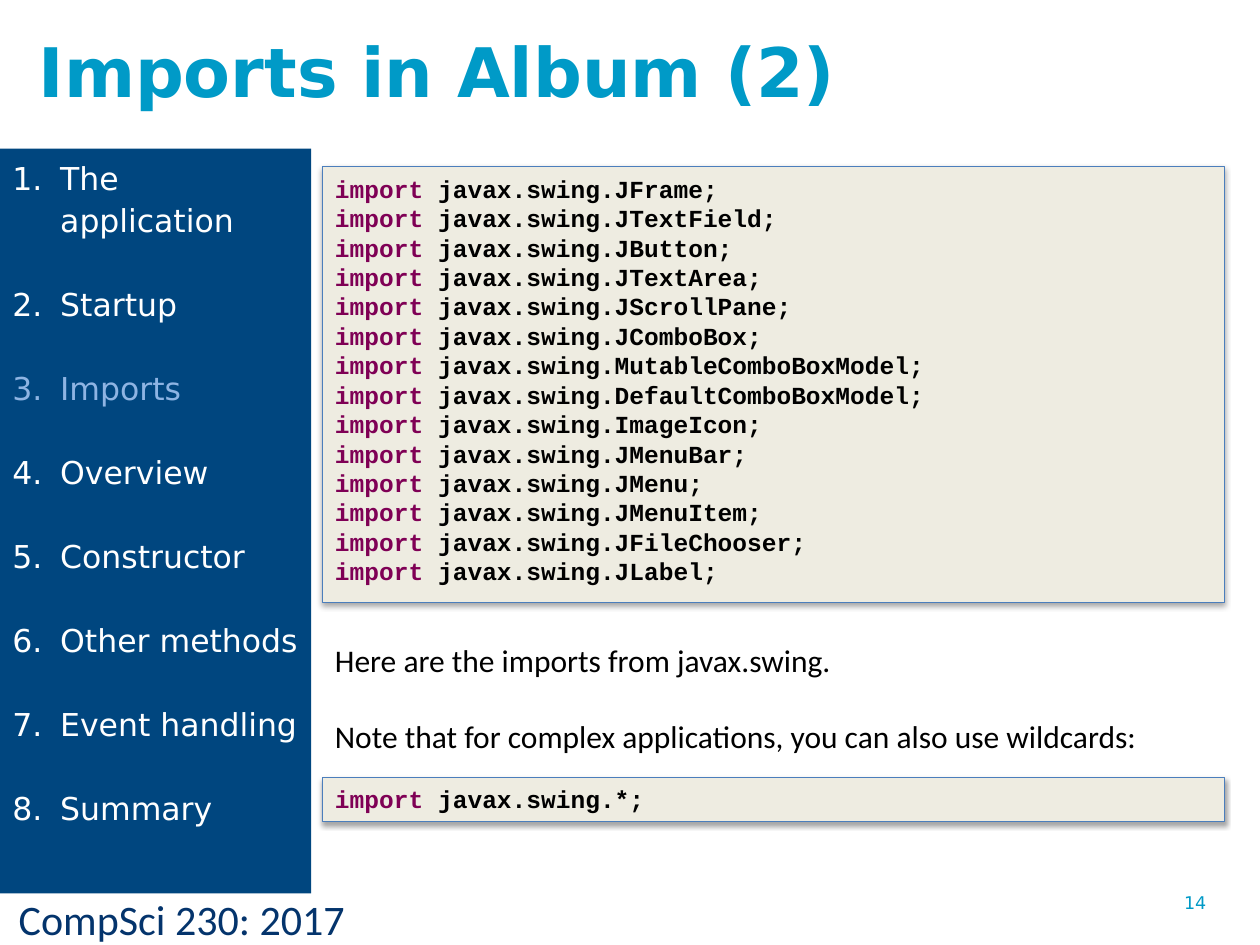
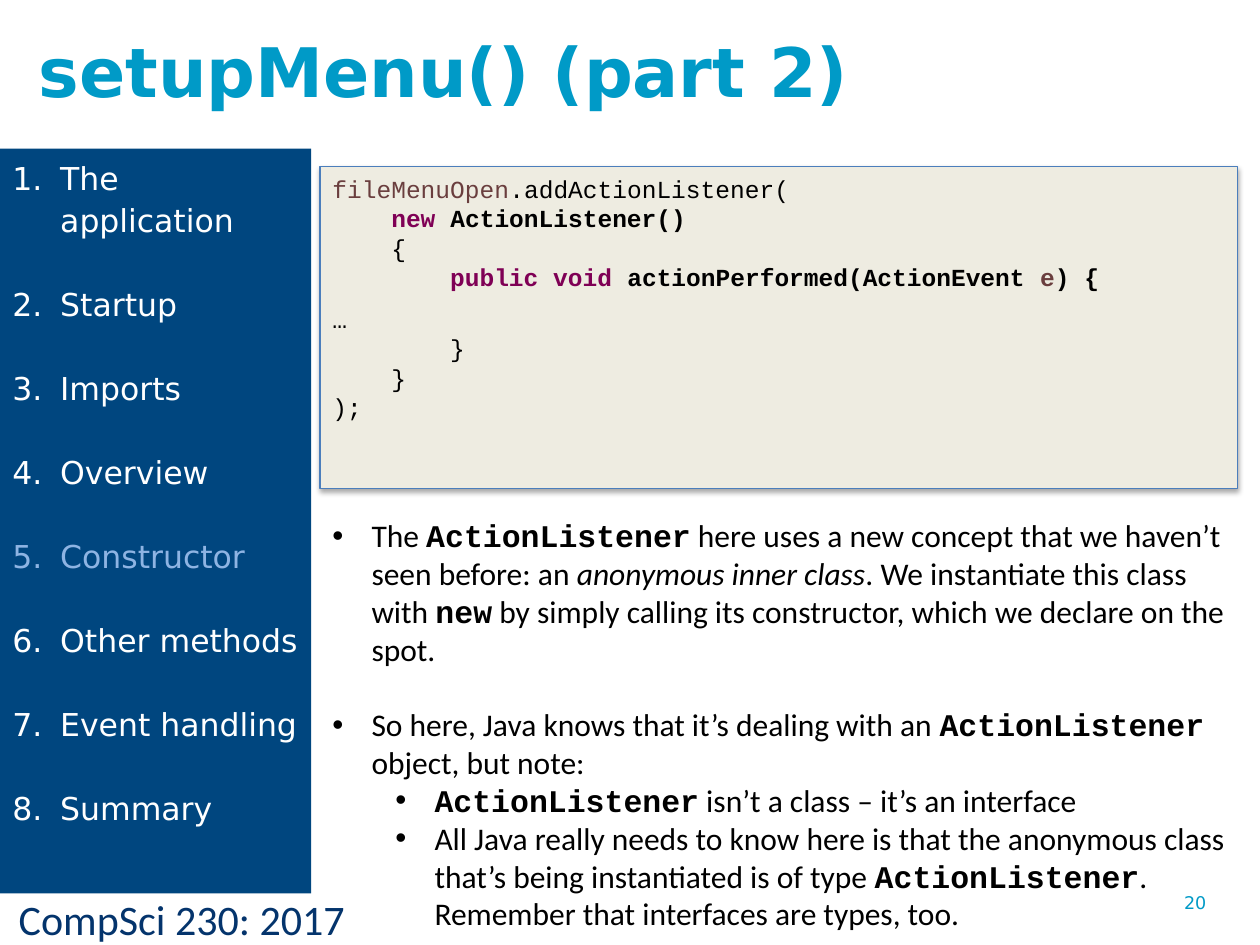
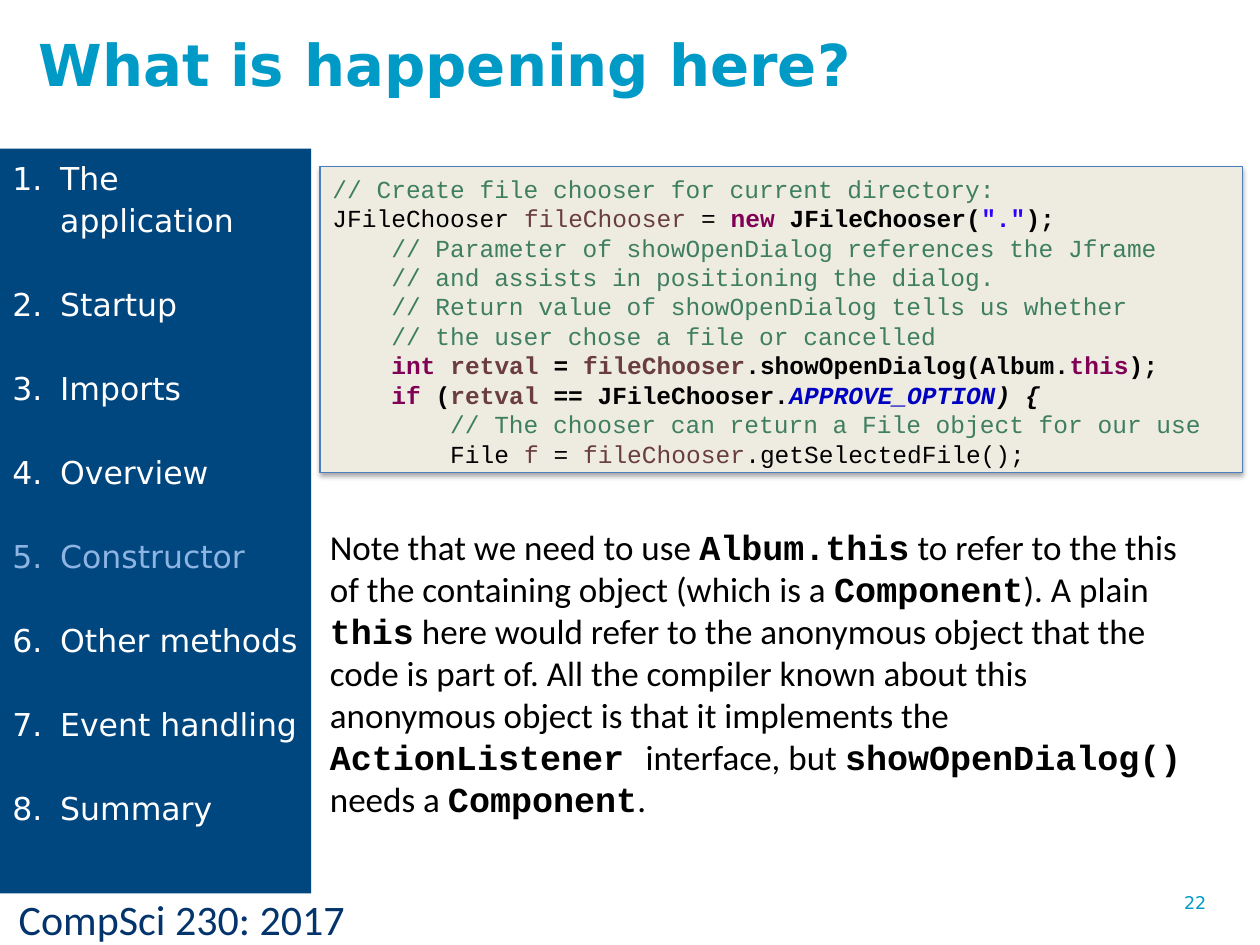
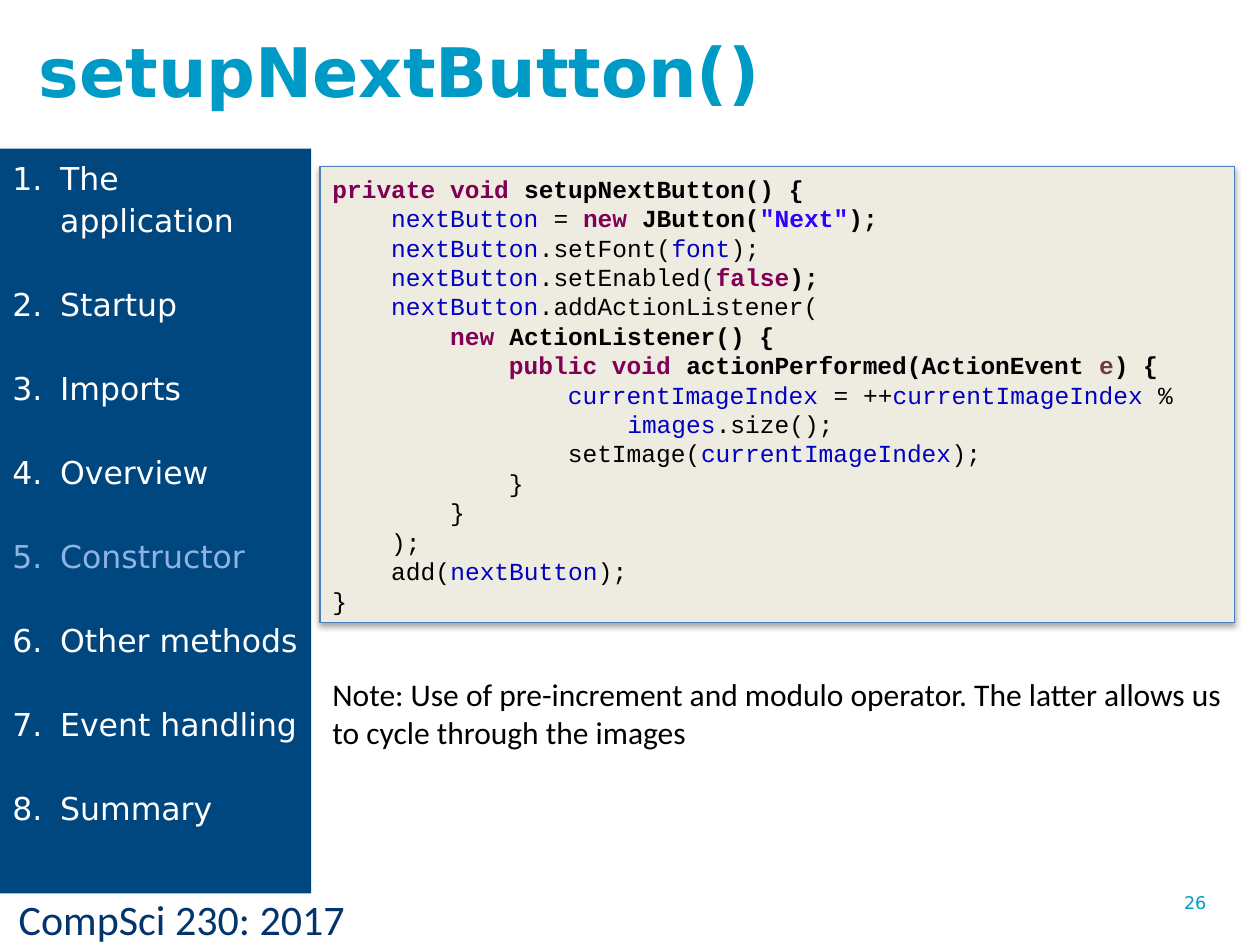
from lxml.etree import SubElement
from pptx import Presentation
from pptx.dml.color import RGBColor
from pptx.enum.shapes import MSO_SHAPE
from pptx.enum.text import MSO_ANCHOR, PP_ALIGN
from pptx.oxml.ns import qn
from pptx.util import Inches, Pt

BLUE, NAVY, SKY, WHITE = "009AC7", "00467F", "8EB4E3", "FFFFFF"
PANEL_FILL, PANEL_LINE = "EEECE1", "4B7EBC"
LINE_PITCH = 1.2  # line height as a multiple of the text size

TITLE = {"name": "DejaVu Sans", "size": 39, "bold": True, "color": BLUE}
NUMBER = {"name": "DejaVu Sans", "size": 10, "color": BLUE}
MENU = {"name": "DejaVu Sans", "size": 18, "color": WHITE}
FOOTER = {"name": "Calibri", "size": 24, "color": "04346C"}
SOURCE = {"name": "Courier New", "size": 14, "color": "000000"}
NOTE = {"name": "Calibri", "size": 18, "color": "000000"}

# Run styles, laid over the base style of a text
CURRENT = {"color": SKY}
BOLD = {"bold": True}
BOLD_ITALIC = {"bold": True, "italic": True}
ITALIC = {"italic": True}
MONO = {"name": "Courier New", "bold": True}
KEYWORD = {"color": "7F0055", "bold": True}
LOCAL = {"color": "6A3E3E"}
LOCAL_BOLD = {**LOCAL, "bold": True}
FIELD = {"color": "0000C0"}
CONSTANT = {**FIELD, **BOLD_ITALIC}
STRING = {"color": "2A00FF", "bold": True}
COMMENT = {"color": "3F7F5F"}

SECTIONS = ["The application", "Startup", "Imports", "Overview", "Constructor",
            "Other methods", "Event handling", "Summary"]
SWING_CLASSES = ["JFrame", "JTextField", "JButton", "JTextArea", "JScrollPane",
                 "JComboBox", "MutableComboBoxModel", "DefaultComboBoxModel",
                 "ImageIcon", "JMenuBar", "JMenu", "JMenuItem", "JFileChooser",
                 "JLabel", "*"]
IMPORTS = [[("import ", KEYWORD), (f"javax.swing.{name};", BOLD)]
           for name in SWING_CLASSES]

MENU_CODE = [
    [("fileMenuOpen", LOCAL), ".addActionListener("],
    [("    new ", KEYWORD), ("ActionListener()", BOLD)],
    ["    {"],
    [("        public void ", KEYWORD), ("actionPerformed(ActionEvent ", BOLD),
     ("e", LOCAL_BOLD), (") {", BOLD)],
    ["…"],
    ["        }"],
    ["    }"],
    [");"],
]
CHOOSER_CODE = [
    [("// Create file chooser for current directory:", COMMENT)],
    ["JFileChooser ", ("fileChooser", LOCAL), " = ", ("new ", KEYWORD),
     ("JFileChooser(", BOLD), ('"."', STRING), (");", BOLD)],
    [("    // Parameter of showOpenDialog references the Jframe", COMMENT)],
    [("    // and assists in positioning the dialog.", COMMENT)],
    [("    // Return value of showOpenDialog tells us whether", COMMENT)],
    [("    // the user chose a file or cancelled", COMMENT)],
    [("    int ", KEYWORD), ("retval", LOCAL_BOLD), (" = ", BOLD),
     ("fileChooser", LOCAL_BOLD), (".showOpenDialog(Album.", BOLD),
     ("this", KEYWORD), (");", BOLD)],
    [("    if", KEYWORD), (" (", BOLD), ("retval", LOCAL_BOLD),
     (" == JFileChooser.", BOLD), ("APPROVE_OPTION", CONSTANT), (") {", BOLD_ITALIC)],
    [("        // The chooser can return a File object for our use", COMMENT)],
    ["        File ", ("f", LOCAL), " = ", ("fileChooser", LOCAL),
     ".getSelectedFile();"],
]
BUTTON_CODE = [
    [("private void ", KEYWORD), ("setupNextButton() {", BOLD)],
    [("    nextButton ", FIELD), "= ", ("new ", KEYWORD), ("JButton(", BOLD),
     ('"Next"', STRING), (");", BOLD)],
    [("    nextButton", FIELD), ".setFont(", ("font", FIELD), ");"],
    [("    nextButton", FIELD), ".setEnabled(", ("false", KEYWORD), (");", BOLD)],
    [("    nextButton", FIELD), ".addActionListener("],
    [("        new ", KEYWORD), ("ActionListener() {", BOLD)],
    [("            public void ", KEYWORD), ("actionPerformed(ActionEvent ", BOLD),
     ("e", LOCAL_BOLD), (") {", BOLD)],
    [("                currentImageIndex ", FIELD), "= ++",
     ("currentImageIndex", FIELD), " %"],
    ["                    ", ("images", FIELD), ".size();"],
    ["                setImage(", ("currentImageIndex", FIELD), ");"],
    ["            }"],
    ["        }"],
    ["    );"],
    ["    add(", ("nextButton", FIELD), ");"],
    ["}"],
]

# panels: panel box, text box, lines of code
# notes: bullet level (None for no bullet), blank lines before, runs
SLIDES = [
    {"title": "Imports in Album (2)", "title_size": 39, "number": 14,
     "section": "Imports",
     "panels": [((2.56, 6.17, 7.16, 0.35), (2.56, 6.17, 7.45, 0.38), IMPORTS[-1:]),
                ((2.56, 1.32, 7.16, 3.46), (2.56, 1.33, 7.45, 4.58), IMPORTS[:-1])],
     "note_box": (2.56, 5.04, 6.99, 1.55), "note_size": 18,
     "notes": [(None, 0, ["Here are the imports from javax.swing."]),
               (None, 1, ["Note that for complex applications, you can also use "
                          "wildcards:"])]},
    {"title": "setupMenu() (part 2)", "title_size": 39, "number": 20,
     "section": "Constructor",
     "panels": [((2.54, 1.32, 7.28, 2.56), (2.54, 1.33, 7.28, 2.03), MENU_CODE)],
     "note_box": (2.54, 4.05, 7.38, 3.43), "note_size": 18,
     "notes": [
         (0, 0, ["The ", ("ActionListener", MONO),
                 " here uses a new concept that we haven’t seen before: an ",
                 ("anonymous inner class", ITALIC),
                 ". We instantiate this class with ", ("new", MONO),
                 " by simply calling its constructor, which we declare on the spot."]),
         (0, 1, ["So here, Java knows that it’s dealing with an ",
                 ("ActionListener", MONO), " object, but note:"]),
         (1, 0, [("ActionListener", MONO), " isn’t a class – it’s an interface"]),
         (1, 0, ["All Java really needs to know here is that the anonymous class "
                 "that’s being instantiated is of type ", ("ActionListener", MONO),
                 ". Remember that interfaces are types, too."])]},
    {"title": "What is happening here?", "title_size": 33, "number": 22,
     "section": "Constructor",
     "panels": [((2.54, 1.32, 7.32, 2.43), (2.54, 1.33, 7.32, 2.58), CHOOSER_CODE)],
     "note_box": (2.52, 4.12, 7.1, 2.46), "note_size": 20,
     "notes": [
         (None, 0, ["Note that we need to use ", ("Album.this", MONO),
                    " to refer to the this of the containing object (which is a ",
                    ("Component", MONO), "). A plain ", ("this", MONO),
                    " here would refer to the anonymous object that the code is part "
                    "of. All the compiler known about this anonymous object is that "
                    "it implements the ", ("ActionListener ", MONO),
                    "interface, but ", ("showOpenDialog() ", MONO), "needs a ",
                    ("Component", MONO), "."])]},
    {"title": "setupNextButton()", "title_size": 39, "number": 26,
     "section": "Constructor",
     "panels": [((2.54, 1.32, 7.26, 3.62), (2.54, 1.33, 7.26, 3.8), BUTTON_CODE)],
     "note_box": (2.54, 5.31, 7.38, 0.71), "note_size": 18,
     "notes": [(None, 0, ["Note: Use of pre-increment and modulo operator. The latter "
                          "allows us to cycle through the images"])]},
]


def write(shape, lines, base, pitch=None):
    """Fill a shape with lines of runs and return its paragraphs."""
    frame = shape.text_frame
    frame.word_wrap = True
    frame.vertical_anchor = MSO_ANCHOR.TOP
    for index, runs in enumerate(lines):
        paragraph = frame.add_paragraph() if index else frame.paragraphs[0]
        paragraph.alignment = PP_ALIGN.LEFT
        if pitch:
            paragraph.line_spacing = Pt(pitch)
        for item in runs:
            text, style = (item, {}) if isinstance(item, str) else item
            run = paragraph.add_run()
            run.text = text
            for key, value in {**base, **style}.items():
                if key == "color":
                    run.font.color.rgb = RGBColor.from_string(value)
                else:
                    setattr(run.font, key, Pt(value) if key == "size" else value)
    return frame.paragraphs


def set_bullet(paragraph, margin, hang, tag, **attributes):
    properties = paragraph._p.get_or_add_pPr()
    properties.set("marL", str(Inches(margin)))
    properties.set("indent", str(-Inches(hang)))
    if tag == "a:buChar":
        SubElement(properties, qn("a:buFont"), typeface="Arial")
    SubElement(properties, qn(tag), **attributes)


presentation = Presentation()
presentation.slide_width = Inches(10)
presentation.slide_height = Inches(7.5)

for content in SLIDES:
    slide = presentation.slides.add_slide(presentation.slide_layouts[6])
    shapes = slide.shapes

    footer = shapes.add_textbox(*map(Inches, (0.05, 7.04, 4.05, 0.5)))
    write(footer, [["CompSci 230: 2017"]], FOOTER)

    number = shapes.add_textbox(*map(Inches, (9.3, 7.03, 0.7, 0.52)))
    write(number, [[str(content["number"])]], NUMBER)

    title = shapes.add_textbox(*map(Inches, (0.21, 0.14, 7.13, 0.78)))
    title.text_frame.margin_top = Inches(0.09)
    write(title, [[content["title"]]], {**TITLE, "size": content["title_size"]})

    # Code panels
    for panel_box, code_box, lines in content["panels"]:
        panel = shapes.add_shape(MSO_SHAPE.RECTANGLE, *map(Inches, panel_box))
        panel.fill.solid()
        panel.fill.fore_color.rgb = RGBColor.from_string(PANEL_FILL)
        panel.line.color.rgb = RGBColor.from_string(PANEL_LINE)
        panel.line.width = Pt(0.75)
        panel.shadow.inherit = False
        effects = panel._element.spPr.find(qn("a:effectLst"))
        shadow = SubElement(effects, qn("a:outerShdw"), blurRad=str(Pt(3.1)),
                            dist=str(Pt(1.8)), dir="5400000", rotWithShape="0")
        shade = SubElement(shadow, qn("a:srgbClr"), val="000000")
        SubElement(shade, qn("a:alpha"), val="35000")

        code = shapes.add_textbox(*map(Inches, code_box))
        for paragraph in write(code, lines, SOURCE, SOURCE["size"] * LINE_PITCH):
            if paragraph.text == "…":
                paragraph.line_spacing = Pt(24)

    # Notes under the code
    note = shapes.add_textbox(*map(Inches, content["note_box"]))
    pitch = content["note_size"] * LINE_PITCH
    paragraphs = write(note, [runs for _, _, runs in content["notes"]],
                       {**NOTE, "size": content["note_size"]}, pitch)
    for paragraph, (level, gap, _) in zip(paragraphs, content["notes"]):
        if gap:
            paragraph.space_before = Pt(gap * pitch)
        if level is not None:
            paragraph.level = level
            set_bullet(paragraph, 0.31 + 0.5 * level, 0.31, "a:buChar", char="•")

    # Section menu
    menu = shapes.add_shape(MSO_SHAPE.RECTANGLE, *map(Inches, (0, 1.18, 2.47, 5.91)))
    menu.shadow.inherit = False
    menu.fill.solid()
    menu.fill.fore_color.rgb = RGBColor.from_string(NAVY)
    menu.line.fill.background()
    entries = [[(name, CURRENT if name == content["section"] else {})]
               for name in SECTIONS]
    for index, paragraph in enumerate(write(menu, entries, MENU, 24)):
        if index:
            paragraph.space_before = Pt(24)
        set_bullet(paragraph, 0.38, 0.38, "a:buAutoNum", type="arabicPeriod")

presentation.save("out.pptx")
